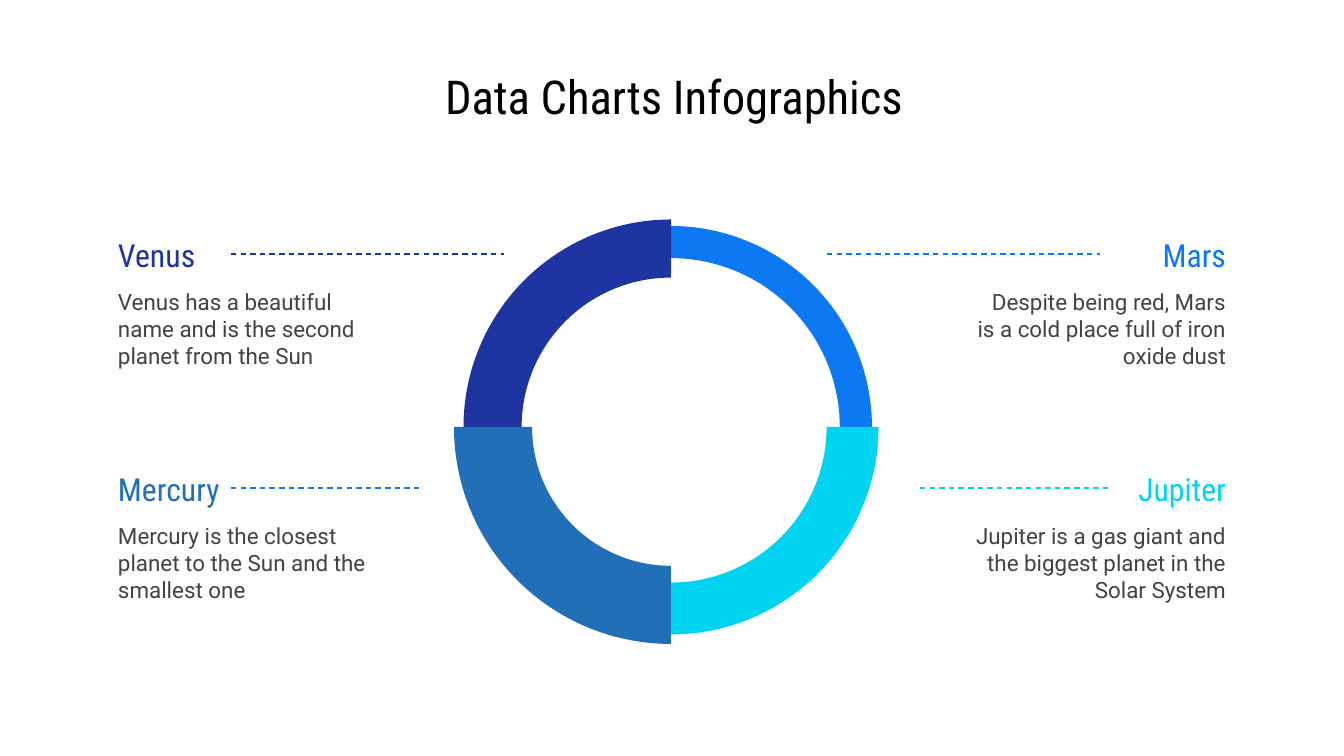
from dataclasses import dataclass
from lxml.etree import SubElement
from pptx import Presentation
from pptx.dml.color import RGBColor
from pptx.enum.dml import MSO_LINE
from pptx.enum.shapes import MSO_CONNECTOR, MSO_SHAPE
from pptx.enum.text import MSO_ANCHOR, MSO_AUTO_SIZE, PP_ALIGN
from pptx.oxml.ns import qn
from pptx.util import Pt

EMU_PER_PX = 914400 / 134.4
RING_CENTER = (671, 427)
COLUMN_WIDTH = 277
INSET = 13


def px(length):
    return round(length * EMU_PER_PX)


def color(hex_code):
    return RGBColor.from_string(hex_code)


@dataclass
class Planet:
    name: str
    fact: str
    hue: str
    leader_hue: str
    left: int
    top: int
    leader: tuple
    align: PP_ALIGN
    start_angle: int
    diameter: int
    thickness: float


class Deck:
    heading_font = "Roboto Condensed"
    body_font = "Roboto"
    body_hue = "434343"

    def __init__(self):
        self.prs = Presentation()
        self.prs.slide_width, self.prs.slide_height = px(1344), px(756)
        self.slide = self.prs.slides.add_slide(self.prs.slide_layouts[5])

    def set_text(self, shape, text, size, font_name, hue, align):
        frame = shape.text_frame
        frame.word_wrap = True
        frame.auto_size = MSO_AUTO_SIZE.NONE
        frame.vertical_anchor = MSO_ANCHOR.MIDDLE
        frame.margin_left = frame.margin_right = px(INSET)
        frame.margin_top = frame.margin_bottom = px(INSET)
        frame.text = text
        paragraph = frame.paragraphs[0]
        paragraph.alignment = align
        paragraph.font.size = Pt(size)
        paragraph.font.name = font_name
        paragraph.font.color.rgb = color(hue)

    def title(self, text, left, top, width, height):
        title = self.slide.shapes.title
        title.left, title.top = px(left), px(top)
        title.width, title.height = px(width), px(height)
        self.set_text(title, text, 25, self.heading_font, "000000", PP_ALIGN.CENTER)

    def arc(self, group, planet):
        """Add a quarter ring, clockwise from the planet's start angle."""
        center_x, center_y = RING_CENTER
        diameter = planet.diameter
        arc = group.shapes.add_shape(
            MSO_SHAPE.BLOCK_ARC,
            px(center_x - diameter / 2), px(center_y - diameter / 2),
            px(diameter), px(diameter))
        # Angles are stored in 1/60000 degree, adjustments in 1/100000.
        arc.adjustments[0] = planet.start_angle * 0.6
        arc.adjustments[1] = (planet.start_angle + 90) % 360 * 0.6
        arc.adjustments[2] = planet.thickness
        arc.shadow.inherit = False
        arc.fill.solid()
        arc.fill.fore_color.rgb = color(planet.hue)
        arc.line.fill.background()

    def leader(self, group, start, end, y, hue):
        line = group.shapes.add_connector(
            MSO_CONNECTOR.STRAIGHT, px(start), px(y), px(end), px(y))
        line.line.color.rgb = color(hue)
        line.line.width = Pt(0.75)
        line.line.dash_style = MSO_LINE.DASH
        SubElement(line._element.spPr, qn("a:effectLst"))

    def label(self, planet):
        group = self.slide.shapes.add_group_shape()
        left, width = px(planet.left), px(COLUMN_WIDTH)
        name = group.shapes.add_textbox(left, px(planet.top), width, px(39))
        self.set_text(name, planet.name, 17, self.heading_font, planet.hue, planet.align)
        fact = group.shapes.add_textbox(left, px(planet.top + 38), width, px(111))
        self.set_text(fact, planet.fact, 12, self.body_font, self.body_hue, planet.align)
        self.leader(group, *planet.leader, planet.top + 19, planet.leader_hue)

    def ring(self, planets):
        group = self.slide.shapes.add_group_shape()
        for planet in planets:
            self.arc(group, planet)


LEFT_COLUMN, RIGHT_COLUMN = 105, 962
UPPER_ROW, LOWER_ROW = 235, 469

PLANETS = [
    Planet("Mars", "Despite being red, Mars is a cold place full of iron oxide dust",
           "0C79F3", "0C79F3", RIGHT_COLUMN, UPPER_ROW, (827, 1100),
           PP_ALIGN.RIGHT, 270, 402, 0.08),
    Planet("Jupiter", "Jupiter is a gas giant and the biggest planet in the Solar System",
           "00D4F0", "00D4F0", RIGHT_COLUMN, LOWER_ROW, (920, 1112),
           PP_ALIGN.RIGHT, 0, 415, 0.125),
    Planet("Venus", "Venus has a beautiful name and is the second planet from the Sun",
           "1E35A1", "1E35A1", LEFT_COLUMN, UPPER_ROW, (231, 504),
           PP_ALIGN.LEFT, 180, 415, 0.14),
    Planet("Mercury", "Mercury is the closest planet to the Sun and the smallest one",
           "2170B7", "0C79F3", LEFT_COLUMN, LOWER_ROW, (231, 423),
           PP_ALIGN.LEFT, 90, 434, 0.18),
]


def main():
    deck = Deck()
    deck.title("Data Charts Infographics", 71, 60, 1206, 71)
    deck.ring(PLANETS)
    for planet in PLANETS:
        deck.label(planet)
    deck.prs.save("out.pptx")


if __name__ == "__main__":
    main()
